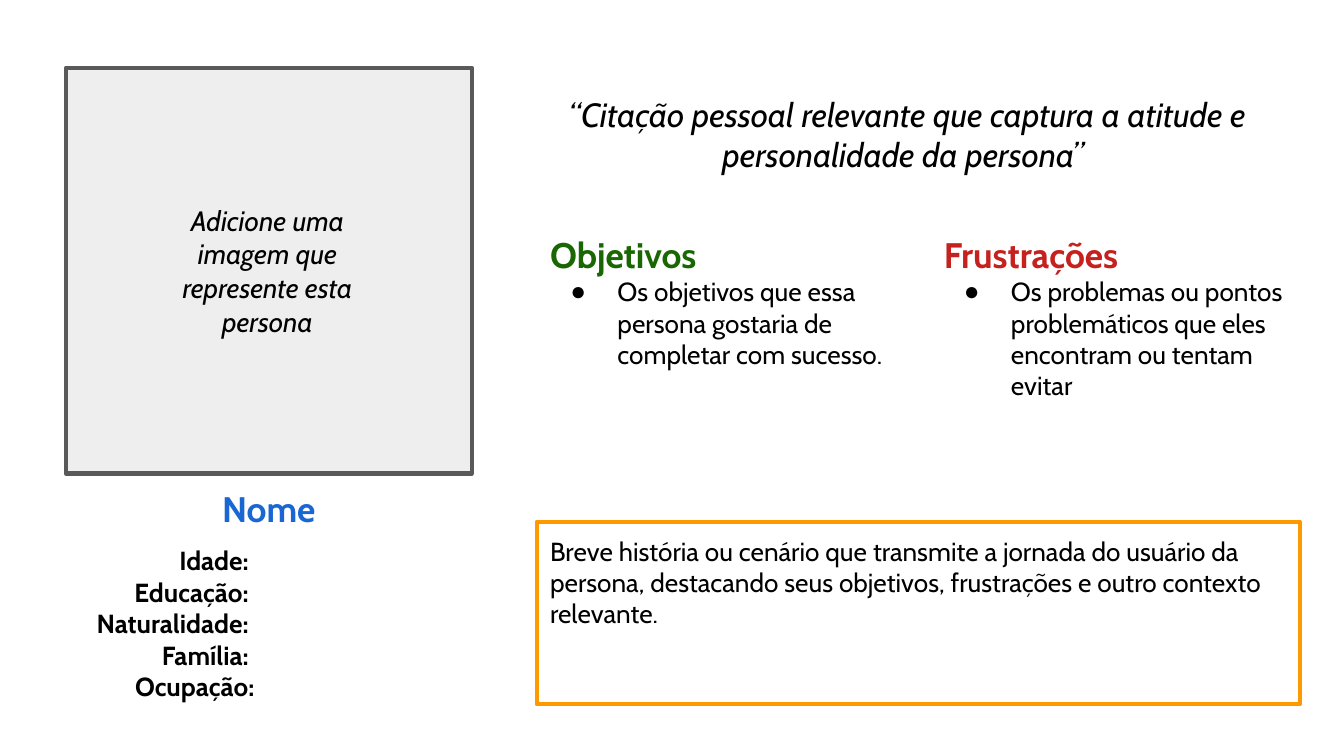
from dataclasses import dataclass
from typing import Optional

from lxml.etree import SubElement
from pptx import Presentation
from pptx.dml.color import RGBColor
from pptx.enum.shapes import MSO_SHAPE
from pptx.enum.text import MSO_ANCHOR, MSO_AUTO_SIZE, PP_ALIGN
from pptx.oxml.ns import qn
from pptx.util import Inches, Pt

BLACK = RGBColor(0x00, 0x00, 0x00)
BLUE = RGBColor(0x19, 0x67, 0xD2)
GREEN = RGBColor(0x19, 0x67, 0x02)
RED = RGBColor(0xC5, 0x22, 0x1F)
ORANGE = RGBColor(0xFF, 0x99, 0x00)
PALE = RGBColor(0xEE, 0xEE, 0xEE)
GREY = RGBColor(0x59, 0x59, 0x59)
FONT = "Cabin"
CELL = Inches(0.1)
COLS, ROWS = 100, 56.25


@dataclass(frozen=True)
class Box:
    col: float
    row: float
    cols: float
    rows: float

    def place(self) -> tuple[int, ...]:
        return tuple(int(n * CELL) for n in (self.col, self.row, self.cols, self.rows))


@dataclass(frozen=True)
class Topic:
    head: str
    color: RGBColor
    item: str


LEFT, TOP, SIDE = 4.9, 5.04, 30.2
MAIN, STEP = 39.94, 29.28
PHOTO = Box(LEFT, TOP, SIDE, SIDE)
NAME = Box(LEFT, TOP + SIDE, SIDE, 5.2)
FACTS = Box(3.54, 39.54, 16.4, 13.3)
QUOTE = Box(MAIN, TOP, 55.1, 9.9)
STORY = Box(MAIN, 38.82, 56.8, 13.6)
HINT = Box(10.8, 15.78, 18.2, 8.7)

TOPICS = (
    Topic("Objetivos", GREEN,
          "Os objetivos que essa persona gostaria de completar com sucesso."),
    Topic("Frustrações", RED,
          "Os problemas ou pontos problemáticos que eles encontram ou tentam evitar"),
)
LABELS = ("Idade: ", "Educação: ", "Naturalidade: ", "Família: ", "Ocupação:")


def ready(shape, anchor=MSO_ANCHOR.TOP):
    frame = shape.text_frame
    frame.auto_size = MSO_AUTO_SIZE.NONE
    frame.word_wrap = True
    frame.vertical_anchor = anchor
    frame.margin_left = frame.margin_right = CELL
    frame.margin_top = frame.margin_bottom = CELL
    return frame


def write(frame, text: str, *, size: float = 14, color: RGBColor = BLACK,
          bold: bool = False, italic: bool = False,
          align: PP_ALIGN = PP_ALIGN.LEFT, bullet: Optional[str] = None) -> None:
    para = frame.paragraphs[0]
    if para.runs:
        para = frame.add_paragraph()
    para.alignment = align
    para.space_before = para.space_after = Pt(0)
    para.line_spacing = 1.0
    props = para._p.get_or_add_pPr()
    props.set("marL", str(Inches(0.5) if bullet else 0))
    props.set("indent", str(Inches(-0.35) if bullet else 0))
    if bullet:
        tint = SubElement(props, qn("a:buClr"))
        SubElement(tint, qn("a:srgbClr")).set("val", str(BLACK))
        SubElement(props, qn("a:buChar")).set("char", bullet)
    else:
        SubElement(props, qn("a:buNone"))
    run = para.add_run()
    run.text = text
    font = run.font
    font.name, font.size = FONT, Pt(size)
    font.bold, font.italic = bold, italic
    font.color.rgb = color


def move(shape, box: Box):
    shape.left, shape.top, shape.width, shape.height = box.place()
    return shape


def panel(slide, box: Box, line: RGBColor, fill: Optional[RGBColor] = None):
    shape = slide.shapes.add_shape(MSO_SHAPE.RECTANGLE, *box.place())
    shape.shadow.inherit = False
    if fill is None:
        shape.fill.background()
    else:
        shape.fill.solid()
        shape.fill.fore_color.rgb = fill
    shape.line.color.rgb = line
    shape.line.width = Pt(2.25)
    return shape


def label(slide, box: Box, anchor=MSO_ANCHOR.TOP):
    return ready(slide.shapes.add_textbox(*box.place()), anchor)


def main() -> None:
    deck = Presentation()
    deck.slide_width, deck.slide_height = int(COLS * CELL), int(ROWS * CELL)
    slide = deck.slides.add_slide(deck.slide_layouts[3])

    panel(slide, PHOTO, GREY, PALE)
    name = ready(move(slide.shapes.title, NAME))
    write(name, "Nome", size=19, color=BLUE, bold=True, align=PP_ALIGN.CENTER)

    facts = label(slide, FACTS)
    for text in LABELS:
        write(facts, text, bold=True, align=PP_ALIGN.RIGHT)

    quote = label(slide, QUOTE, MSO_ANCHOR.MIDDLE)
    write(quote, "“Citação pessoal relevante que captura a atitude e "
          "personalidade da persona” ", size=18, italic=True, align=PP_ALIGN.CENTER)

    for i, topic in enumerate(TOPICS):
        box = Box(MAIN + i * STEP, 16.34, 27.6, 21.1)
        frame = ready(move(slide.placeholders[i + 1], box))
        write(frame, topic.head + " ", size=19, color=topic.color, bold=True)
        write(frame, topic.item, bullet="●")

    story = ready(panel(slide, STORY, ORANGE))
    write(story, "Breve história ou cenário que transmite a jornada do usuário da "
          "persona, destacando seus objetivos, frustrações e outro contexto relevante.")

    hint = label(slide, HINT, MSO_ANCHOR.MIDDLE)
    write(hint, "Adicione uma imagem que represente esta persona",
          size=15, italic=True, align=PP_ALIGN.CENTER)

    deck.save("out.pptx")


if __name__ == "__main__":
    main()
